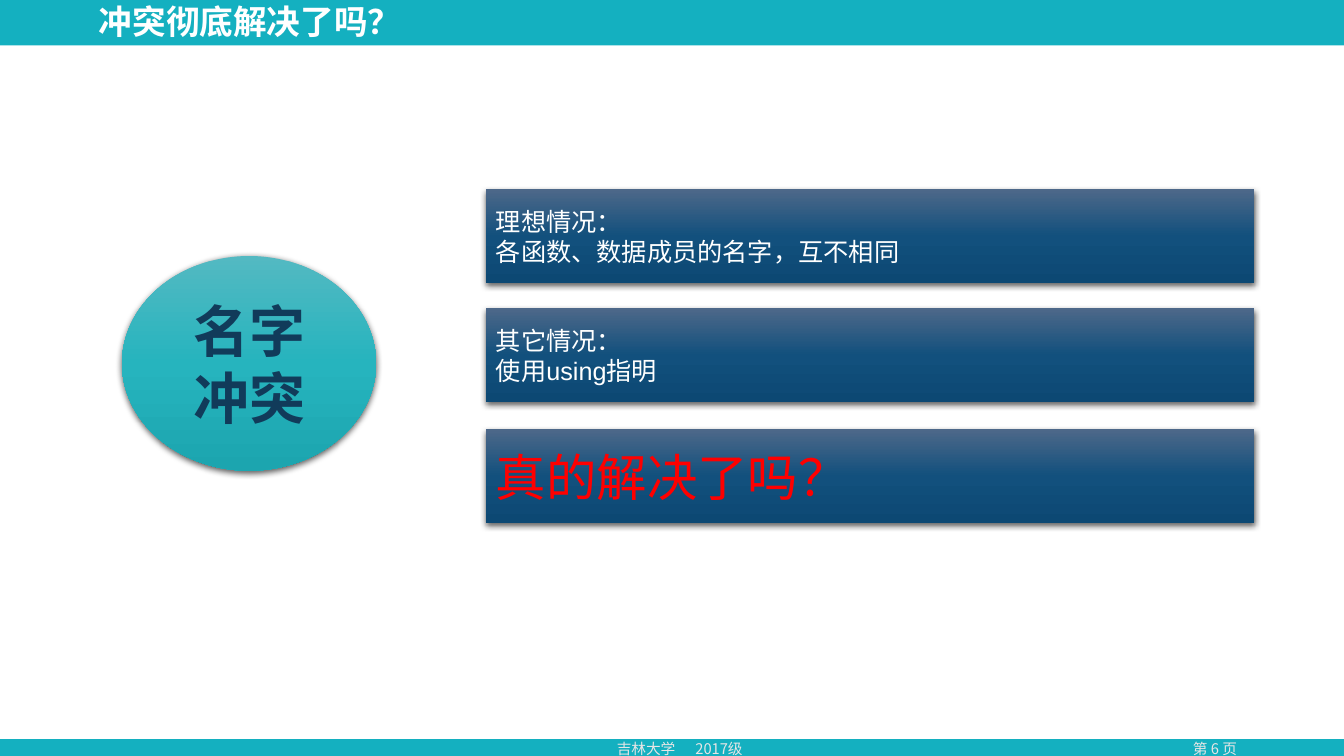
from dataclasses import dataclass

from pptx import Presentation
from pptx import oxml
from pptx.dml.color import RGBColor
from pptx.enum import shapes, text
from pptx.oxml import ns
from pptx.util import Inches, Pt


@dataclass(frozen=True)
class Theme:
    teal: str = "14B0C0"
    white: str = "FFFFFF"
    pale: str = "E7E6E6"
    navy: str = "113B5A"
    red: str = "FF0000"
    teal_gradient: tuple = ("53B9C2", "26B4BE", "1CA5AF")
    blue_gradient: tuple = ("4D6889", "12507D", "0C4873")
    latin: str = "Arial"
    chinese: str = "Noto Sans CJK SC"
    footer_size: float = 10.5
    body_size: float = 18
    title_size: float = 24
    question_size: float = 36
    topic_size: float = 40


THEME = Theme()


def write(box, words, size, color, font=THEME.chinese, bold=False,
          align=text.PP_ALIGN.LEFT, anchor=text.MSO_ANCHOR.MIDDLE, wrap=True):
    frame = box.text_frame
    frame.word_wrap = wrap
    frame.auto_size = text.MSO_AUTO_SIZE.NONE
    frame.vertical_anchor = anchor
    para = frame.paragraphs[0]
    para.text = words
    para.alignment = align
    for span in para.runs:
        span.font.name = font
        span.font.size = Pt(size)
        span.font.bold = bold
        span.font.color.rgb = RGBColor.from_string(color)
        east_asian = span.font._element.makeelement(ns.qn("a:ea"), {"typeface": THEME.chinese})
        span.font._element.append(east_asian)
    return para


def add_panel(page, left, top, width, height, color):
    panel = page.shapes.add_shape(shapes.MSO_SHAPE.RECTANGLE, Inches(left), Inches(top),
                                  Inches(width), Inches(height))
    panel.shadow.inherit = False
    panel.fill.solid()
    panel.fill.fore_color.rgb = RGBColor.from_string(color)
    panel.line.fill.background()


def add_raised_shape(page, kind, left, top, width, height, gradient):
    shape = page.shapes.add_shape(kind, Inches(left), Inches(top), Inches(width), Inches(height))
    stops = "".join(
        f'<a:gs pos="{index * 50000}"><a:srgbClr val="{color}"/></a:gs>'
        for index, color in enumerate(gradient))
    shape._element.spPr.append(oxml.parse_xml(
        f'<a:gradFill {ns.nsdecls("a")} rotWithShape="1"><a:gsLst>{stops}</a:gsLst>'
        '<a:lin ang="5400000" scaled="0"/></a:gradFill>'))
    shape.line.fill.background()
    shape._element.spPr.append(oxml.parse_xml(
        f'<a:effectLst {ns.nsdecls("a")}><a:outerShdw blurRad="{Pt(4.5)}" dist="{Pt(1.5)}" '
        'dir="5400000" algn="ctr" rotWithShape="0"><a:srgbClr val="000000">'
        '<a:alpha val="63000"/></a:srgbClr></a:outerShdw></a:effectLst>'))
    return shape


def add_footer(page, words, left, width, align=text.PP_ALIGN.LEFT):
    box = page.shapes.add_textbox(Inches(left), Inches(7.29), Inches(width), Inches(0.28))
    return write(box, words, THEME.footer_size, THEME.pale, align=align,
                 anchor=text.MSO_ANCHOR.TOP)


def add_tab_stop(para, position):
    para._p.get_or_add_pPr().append(oxml.parse_xml(
        f'<a:tabLst {ns.nsdecls("a")}><a:tab pos="{Inches(position)}" algn="l"/></a:tabLst>'))


def place_title(page, words):
    title = page.shapes.title
    title.left, title.top = Inches(0.88), Inches(0.04)
    title.width, title.height = Inches(7.68), Inches(0.39)
    para = write(title, words, THEME.title_size, THEME.white, bold=True)
    para.line_spacing = 0.9
    page.shapes._spTree.append(title._element)


def main():
    deck = Presentation()
    deck.slide_width, deck.slide_height = Inches(13.33), Inches(7.5)
    page = deck.slides.add_slide(deck.slide_layouts[5])

    add_panel(page, 0, 0, 13.33, 7.5, THEME.teal)
    add_panel(page, 0, 0.45, 13.33, 6.88, THEME.white)
    add_footer(page, "第 6 页", 11.32, 1.46, text.PP_ALIGN.CENTER)
    add_tab_stop(add_footer(page, "吉林大学\t2017级", 6.02, 1.84), 0.78)
    place_title(page, "冲突彻底解决了吗？")

    topic = add_raised_shape(page, shapes.MSO_SHAPE.OVAL, 1.21, 2.54, 2.52, 2.13,
                             THEME.teal_gradient)
    write(topic, "名字冲突", THEME.topic_size, THEME.navy, bold=True,
          align=text.PP_ALIGN.CENTER)

    cases = [
        (1.88, "理想情况：\v各函数、数据成员的名字，互不相同", THEME.body_size, THEME.white),
        (3.06, "其它情况：\v使用using指明", THEME.body_size, THEME.white),
        (4.26, "真的解决了吗？", THEME.question_size, THEME.red),
    ]
    for top, words, size, color in cases:
        case = add_raised_shape(page, shapes.MSO_SHAPE.RECTANGLE, 4.82, top, 7.62, 0.93,
                                THEME.blue_gradient)
        write(case, words, size, color, font=THEME.latin)

    deck.save("out.pptx")


if __name__ == "__main__":
    main()
